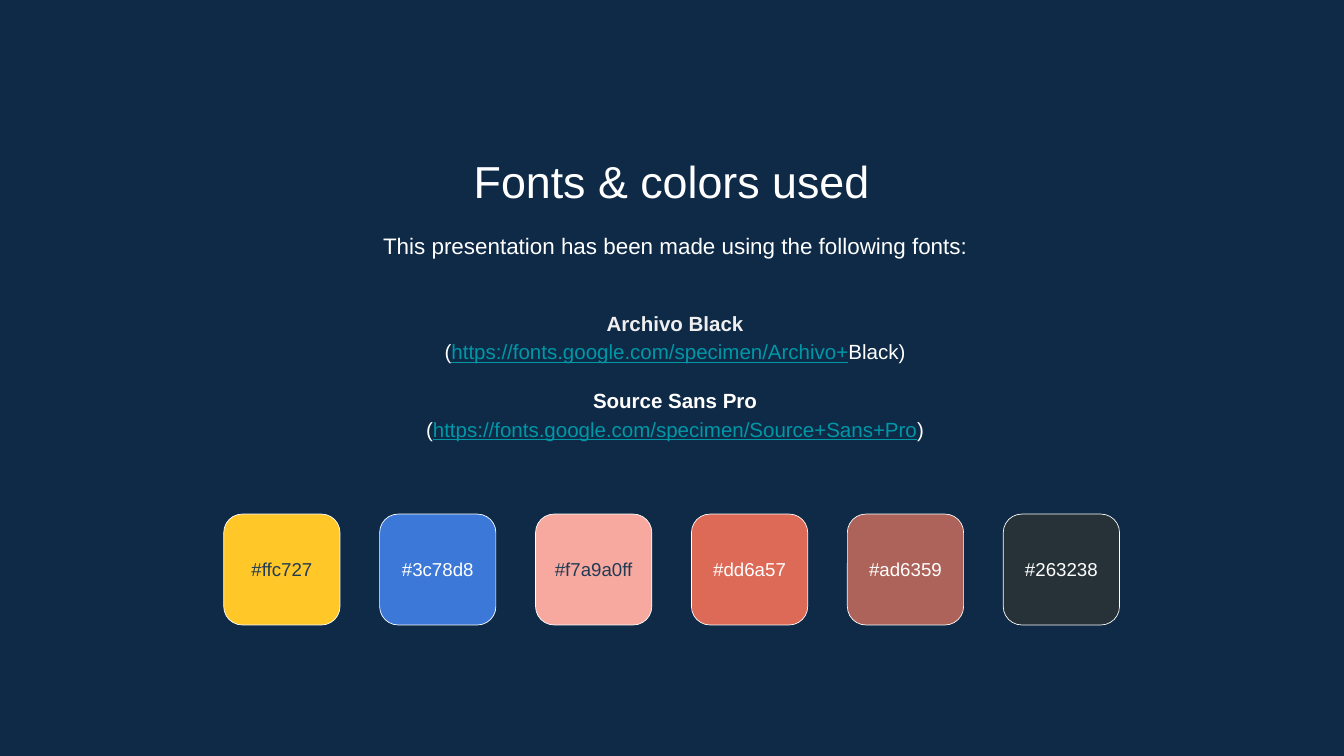
from pptx import Presentation
from pptx.dml.color import RGBColor
from pptx.enum.shapes import MSO_SHAPE
from pptx.enum.text import MSO_ANCHOR, PP_ALIGN
from pptx.util import Inches, Pt

ROUND = MSO_SHAPE.ROUNDED_RECTANGLE
TOP, MIDDLE = MSO_ANCHOR.TOP, MSO_ANCHOR.MIDDLE
CENTER = PP_ALIGN.CENTER

FONT = "Arial"
NAVY = RGBColor(0x0E, 0x2A, 0x47)
INK = RGBColor(0x21, 0x3B, 0x55)
WHITE = RGBColor(0xFF, 0xFF, 0xFF)
PALE = RGBColor(0xEF, 0xEF, 0xEF)
TEAL = RGBColor(0x00, 0x97, 0xA7)
YELLOW = RGBColor(0xFF, 0xC7, 0x27)
BLUE = RGBColor(0x3C, 0x78, 0xD8)
PINK = RGBColor(0xF7, 0xA9, 0xA0)
CORAL = RGBColor(0xDD, 0x6A, 0x57)
BROWN = RGBColor(0xAD, 0x63, 0x59)
SLATE = RGBColor(0x26, 0x32, 0x38)

SWATCHES = [
    ("#ffc727", YELLOW, INK),
    ("#3c78d8", BLUE, WHITE),
    ("#f7a9a0ff", PINK, INK),
    ("#dd6a57", CORAL, WHITE),
    ("#ad6359", BROWN, WHITE),
    ("#263238", SLATE, WHITE),
]
LEFT, PITCH = 3.33, 2.32

# Each font: name, name colour, linked address, text after the link
FONTS = [
    ("Archivo Black", PALE,
     "https://fonts.google.com/specimen/Archivo+", "Black)"),
    ("Source Sans Pro", WHITE,
     "https://fonts.google.com/specimen/Source+Sans+Pro", ")"),
]


def set_frame(frame, anchor):
    frame.word_wrap = True
    frame.vertical_anchor = anchor
    frame.margin_left = frame.margin_right = Inches(0.2)
    frame.margin_top = frame.margin_bottom = Inches(0.2)


def add_box(slide, left, top, height, anchor=TOP):
    box = slide.shapes.add_textbox(
        Inches(left), Inches(top), Inches(15.41), Inches(height))
    set_frame(box.text_frame, anchor)
    return box.text_frame


def add_run(para, text, size, color, bold=False, line=False):
    run = para.add_run()
    run.text = text
    font = run.font
    font.name, font.size = FONT, Pt(size)
    font.bold, font.underline = bold, line
    font.color.rgb = color


def next_para(frame, first, spacing=1.15):
    para = frame.paragraphs[0] if first else frame.add_paragraph()
    para.alignment = CENTER
    para.line_spacing = spacing
    return para


def add_fonts(slide):
    frame = add_box(slide, 2.34, 4.2, 2.74, MIDDLE)
    for i, (name, color, link, tail) in enumerate(FONTS):
        head = next_para(frame, i == 0)
        if i:
            head.space_before = Pt(22)
        add_run(head, name, 22, color, bold=True)
        para = next_para(frame, False)
        add_run(para, "(", 22, WHITE)
        add_run(para, link, 22, TEAL, line=True)
        add_run(para, tail, 22, WHITE)


def add_swatch(slide, left, label, fill, color):
    shape = slide.shapes.add_shape(
        ROUND, Inches(left), Inches(7.65), Inches(1.73), Inches(1.65))
    shape.shadow.inherit = False
    shape.fill.solid()
    shape.fill.fore_color.rgb = fill
    shape.line.color.rgb = WHITE
    shape.line.width = Pt(0.75)
    frame = shape.text_frame
    set_frame(frame, MIDDLE)
    # The rounded corners already inset the text
    frame.margin_left = frame.margin_right = Inches(0.1)
    add_run(next_para(frame, True, 1.0), label, 20, color)


def main():
    deck = Presentation()
    deck.slide_width, deck.slide_height = Inches(20), Inches(11.25)
    slide = deck.slides.add_slide(deck.slide_layouts[6])
    slide.background.fill.solid()
    slide.background.fill.fore_color.rgb = NAVY

    title = add_box(slide, 2.29, 2.09, 1.06)
    add_run(next_para(title, True, 1.0), "Fonts & colors used", 48, WHITE)
    intro = add_box(slide, 2.34, 3.19, 0.96)
    add_run(next_para(intro, True),
            "This presentation has been made using the following fonts:",
            24, WHITE)
    add_fonts(slide)
    for i, (label, fill, color) in enumerate(SWATCHES):
        add_swatch(slide, LEFT + i * PITCH, label, fill, color)
    deck.save("out.pptx")


if __name__ == "__main__":
    main()
